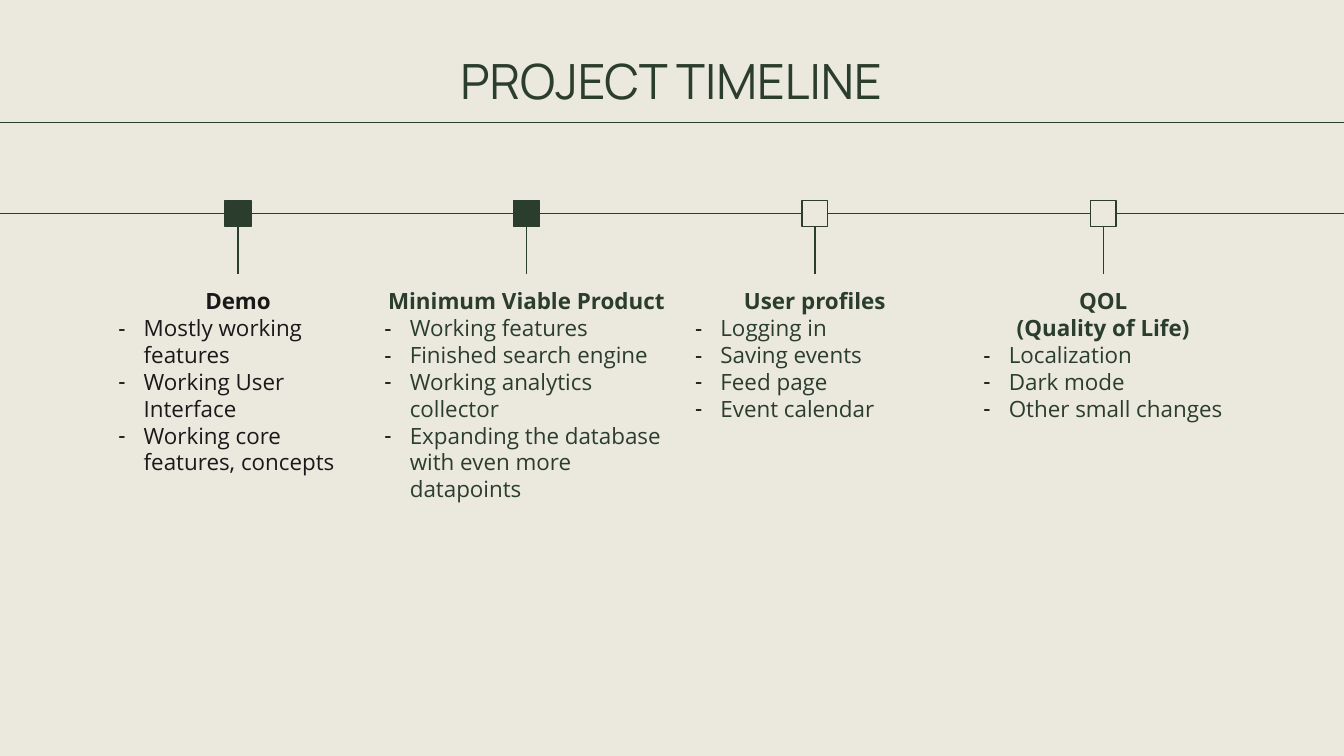
import pptx
import pptx.dml.color
import pptx.enum.shapes
import pptx.enum.text
import pptx.oxml
import pptx.oxml.ns
import pptx.util
from pptx.util import Cm, Pt

GREEN, INK, CREAM, BLACK = "2B3D2D", "191919", "EBE8DE", "000000"
ALIGN = pptx.enum.text.PP_ALIGN
ANCHOR = pptx.enum.text.MSO_ANCHOR

WIDTH, HEIGHT = 25.4, 14.29
FIRST_X, STEP = 4.5, 5.45
AXIS_Y, MARKER = 4.04, 0.49
TEXT_TOP, TEXT_HEIGHT = 5.18, 8.2
INDENT = 0.48

# heading lines, items, text colour, marker fill, column width
MILESTONES = [
    (["Demo"],
     ["Mostly working features", "Working User Interface",
      "Working core features, concepts"], INK, GREEN, 5.03),
    (["Minimum Viable Product"],
     ["Working features", "Finished search engine", "Working analytics collector",
      "Expanding the database with even more datapoints"], GREEN, GREEN, 5.87),
    (["User profiles"],
     ["Logging in", "Saving events", "Feed page", "Event calendar"],
     GREEN, CREAM, 5.03),
    (["QOL", "(Quality of Life)"],
     ["Localization", "Dark mode", "Other small changes"], GREEN, CREAM, 5.03),
]


def rgb(value):
    return pptx.dml.color.RGBColor.from_string(value)


def set_bullet(p, char):
    """Give the paragraph a hanging bullet, or none if char is empty."""
    pPr = p._p.get_or_add_pPr()
    pPr.set("marL", str(Cm(INDENT) if char else 0))
    pPr.set("indent", str(-Cm(INDENT) if char else 0))
    if char:
        tags = [f'<a:buClr {{}}><a:srgbClr val="{BLACK}"/></a:buClr>',
                '<a:buFont {} typeface="Open Sans"/>',
                f'<a:buChar {{}} char="{char}"/>']
    else:
        tags = ["<a:buNone {}/>"]
    for tag in tags:
        pPr.append(pptx.oxml.parse_xml(tag.format(pptx.oxml.ns.nsdecls("a"))))


def add_text(tf, text, font="Open Sans", size=12, color=GREEN, bold=False,
             align=ALIGN.LEFT, bullet="", spacing=None):
    """Write one paragraph, using the frame's first one while it is empty."""
    first = tf.paragraphs[0]
    p = tf.add_paragraph() if first.runs else first
    set_bullet(p, bullet)
    p.alignment = align
    p.space_before = p.space_after = Pt(0)
    if spacing:
        p.line_spacing = Pt(spacing)
    r = p.add_run()
    r.text = text
    r.font.name, r.font.size, r.font.bold = font, Pt(size), bold
    r.font.color.rgb = rgb(color)


def place(sp, left, top, width, height, anchor):
    """Move a placeholder and return its cleaned-up text frame."""
    sp.left, sp.top, sp.width, sp.height = map(Cm, (left, top, width, height))
    tf = sp.text_frame
    tf.word_wrap = True
    tf.auto_size = pptx.enum.text.MSO_AUTO_SIZE.NONE
    tf.vertical_anchor = anchor
    tf.margin_left = tf.margin_right = tf.margin_top = tf.margin_bottom = Cm(0.25)
    return tf


def add_line(s, x1, y1, x2, y2):
    line = s.shapes.add_connector(pptx.enum.shapes.MSO_CONNECTOR.STRAIGHT,
                                  Cm(x1), Cm(y1), Cm(x2), Cm(y2))
    line.line.color.rgb = rgb(GREEN)
    line.line.width = Pt(0.75)
    line._element.spPr.append(pptx.oxml.parse_xml(
        f'<a:effectLst {pptx.oxml.ns.nsdecls("a")}/>'))


def add_marker(s, x, fill):
    sp = s.shapes.add_shape(pptx.enum.shapes.MSO_SHAPE.RECTANGLE,
                            Cm(x - MARKER / 2), Cm(AXIS_Y - MARKER / 2),
                            Cm(MARKER), Cm(MARKER))
    sp.shadow.inherit = False
    sp.fill.solid()
    sp.fill.fore_color.rgb = rgb(fill)
    sp.line.color.rgb = rgb(GREEN)
    sp.line.width = Pt(0.75)


def add_axis(s, centres):
    """Draw the axis as segments that stop at each marker's edge."""
    starts = [-0.08] + [x + MARKER / 2 for x in centres]
    ends = [x - MARKER / 2 for x in centres] + [WIDTH]
    for start, end in zip(starts, ends):
        add_line(s, start, AXIS_Y, end, AXIS_Y)


def fill_column(sp, x, headings, items, color, width):
    tf = place(sp, x - width / 2, TEXT_TOP, width, TEXT_HEIGHT, ANCHOR.TOP)
    for heading in headings:
        add_text(tf, heading, color=color, bold=True, align=ALIGN.CENTER,
                 spacing=14.4)
    for item in items:
        add_text(tf, item, color=color, bullet="-", spacing=14.4)


def main():
    prs = pptx.Presentation()
    prs.slide_width, prs.slide_height = Cm(WIDTH), Cm(HEIGHT)
    # The Comparison layout has a title and four body placeholders
    s = prs.slides.add_slide(prs.slide_layouts.get_by_name("Comparison"))
    s.background.fill.solid()
    s.background.fill.fore_color.rgb = rgb(CREAM)

    title, *bodies = s.placeholders
    tf = place(title, 1.98, 0.71, 21.42, 1.6, ANCHOR.MIDDLE)
    add_text(tf, "PROJECT TIMELINE", font="Manrope", size=26, align=ALIGN.CENTER)
    add_line(s, -0.03, 2.31, 25.5, 2.31)

    centres = [FIRST_X + i * STEP for i in range(len(MILESTONES))]
    add_axis(s, centres)
    for sp, x, milestone in zip(bodies, centres, MILESTONES):
        headings, items, color, fill, width = milestone
        add_marker(s, x, fill)
        add_line(s, x, AXIS_Y + MARKER / 2, x, TEXT_TOP)
        fill_column(sp, x, headings, items, color, width)
    prs.save("out.pptx")


if __name__ == "__main__":
    main()
